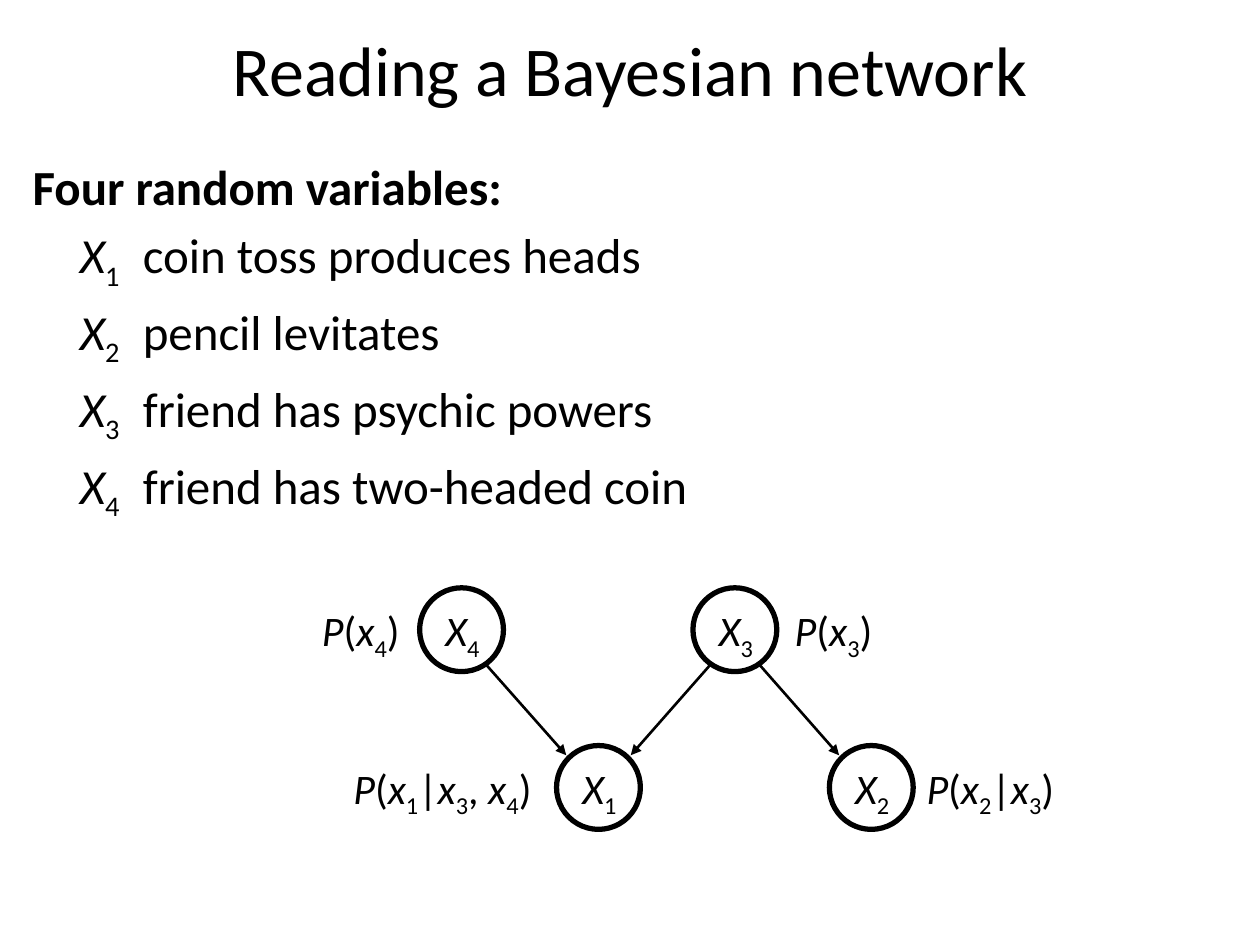
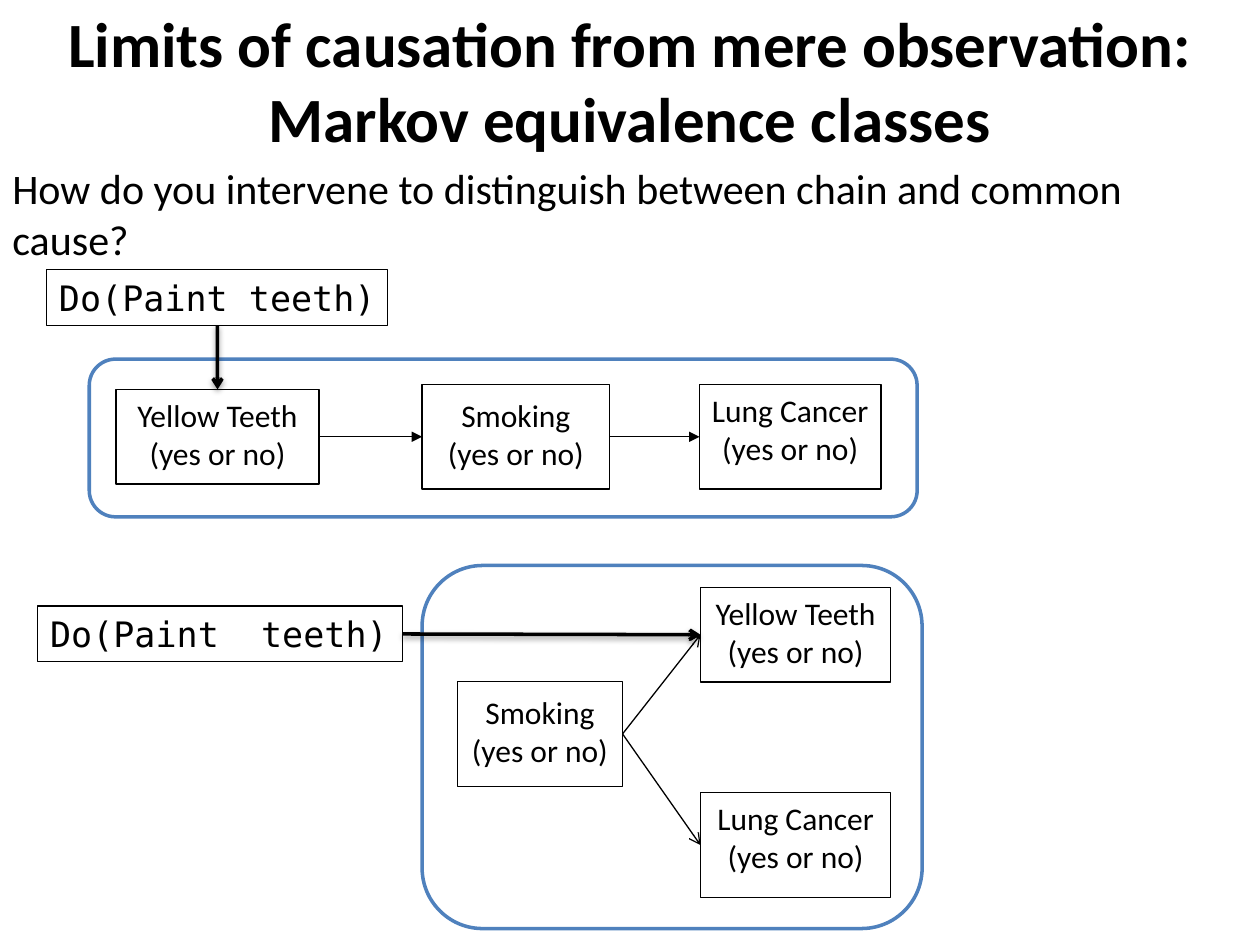
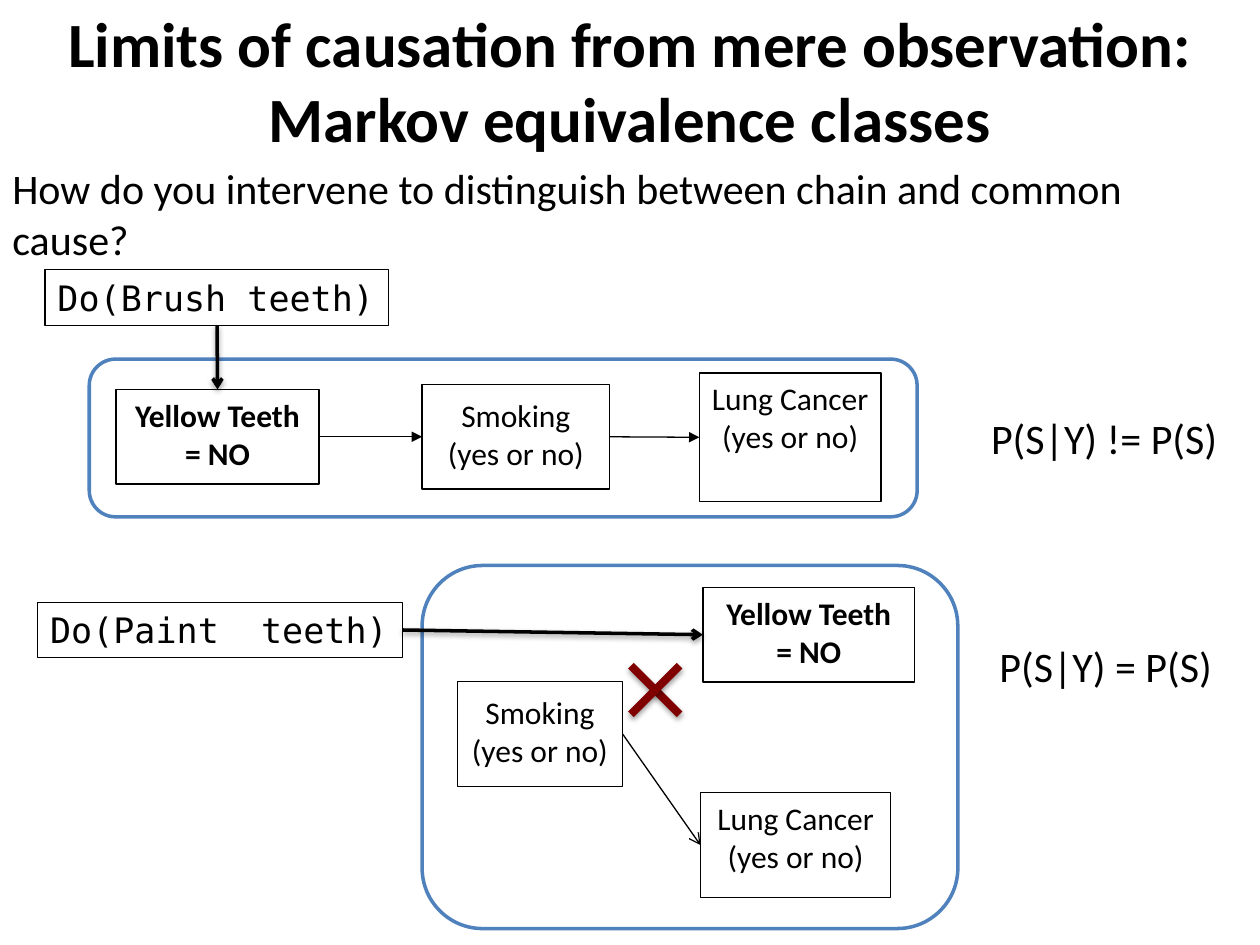
from dataclasses import dataclass

from lxml import etree
from pptx import Presentation
from pptx.dml.color import RGBColor
from pptx.enum.shapes import MSO_CONNECTOR, MSO_SHAPE
from pptx.enum.text import MSO_ANCHOR, PP_ALIGN
from pptx.oxml.ns import qn
from pptx.util import Cm, Pt

STRAIGHT = MSO_CONNECTOR.STRAIGHT
RECTANGLE = MSO_SHAPE.RECTANGLE
ROUNDED = MSO_SHAPE.ROUNDED_RECTANGLE
OVAL = MSO_SHAPE.OVAL
LEFT_ALIGNED = PP_ALIGN.LEFT
CENTERED = PP_ALIGN.CENTER
TOP_ANCHOR = MSO_ANCHOR.TOP
MIDDLE_ANCHOR = MSO_ANCHOR.MIDDLE
TOP, LEFT, BOTTOM, RIGHT = range(4)

BLACK = "000000"
WHITE = "FFFFFF"
FRAME_BLUE = "4F81BD"
CROSS_RED = "800000"
BODY_FONT = "Calibri"
CODE_FONT = "DejaVu Sans Mono"
SLIDE_WIDTH = 25.4
SLIDE_HEIGHT = 19.05

NODE_SIZE = 1.69
LABEL_DROP = 0.21
ARROW_START = (0.42, 0.62)
ARROW_END = 0.65
CROSS_CENTER = (13.21, 13.91)
CROSS_REACH = 0.49
YES_OR_NO = "(yes or no)"


@dataclass(frozen=True)
class Area:
    left: float
    top: float
    width: float
    height: float

    def lengths(self):
        return Cm(self.left), Cm(self.top), Cm(self.width), Cm(self.height)


@dataclass(frozen=True)
class TextPiece:
    text: str
    italic: bool = False
    subscript: bool = False


@dataclass(frozen=True)
class Variable:
    name: str
    meaning: str
    left: float
    top: float
    probability: str
    label_left: float
    label_width: float


@dataclass(frozen=True)
class Box:
    name: str
    lines: tuple
    area: Area
    bold: bool = False
    top_inset: float = 0.13
    font: str = BODY_FONT
    size: float = 18
    align: int = CENTERED
    fill: str | None = WHITE
    wrap: bool = True


@dataclass(frozen=True)
class Link:
    source: str
    source_side: int
    target: str
    target_side: int
    head: str
    weight: float = 0.75
    shadow: bool = False


@dataclass(frozen=True)
class Scenario:
    boxes: tuple
    links: tuple
    common_frame_width: float


VARIABLES = (
    Variable("X_1", "coin toss produces heads", 11.22, 15.03, "P(x_1|x_3, x_4)", 6.76, 4.32),
    Variable("X_2", "pencil levitates", 16.72, 15.03, "P(x_2|x_3)", 18.34, 3.25),
    Variable("X_3", "friend has psychic powers", 13.97, 11.85, "P(x_3)", 15.7, 2.21),
    Variable("X_4", "friend has two-headed coin", 8.46, 11.85, "P(x_4)", 6.17, 2.21),
)
DEPENDENCIES = (("X_4", "X_1"), ("X_3", "X_2"), ("X_3", "X_1"))


def action(name: str, text: str, area: Area) -> Box:
    return Box(name, (text,), area, font=CODE_FONT, size=20,
               align=LEFT_ALIGNED, fill=None, wrap=False)


def smoking(name: str, area: Area) -> Box:
    return Box(name, ("Smoking", YES_OR_NO), area, top_inset=0.23)


COMMON_BOXES = (
    smoking("chain smoking", Area(8.51, 7.75, 3.78, 2.11)),
    smoking("common smoking", Area(9.22, 13.74, 3.33, 2.11)),
    Box("common cancer", ("Lung Cancer", YES_OR_NO), Area(14.12, 15.98, 3.84, 2.11)),
)
COMMON_LINKS = (
    Link("chain teeth", RIGHT, "chain smoking", LEFT, "triangle"),
    Link("chain smoking", RIGHT, "chain cancer", LEFT, "triangle"),
    Link("common smoking", RIGHT, "common cancer", LEFT, "arrow"),
    Link("chain action", BOTTOM, "chain teeth", TOP, "arrow", 2, True),
    Link("common action", RIGHT, "common teeth", LEFT, "arrow", 2, True),
)


def scenario(teeth_state: str, known: bool, first_action: Box, second_action_top: float,
             cancer_area: Area, teeth_area: Area, frame_width: float,
             extra_links: tuple = ()) -> Scenario:
    teeth_lines = ("Yellow Teeth", teeth_state)
    boxes = COMMON_BOXES + (
        first_action,
        action("common action", "Do(Paint  teeth)", Area(0.76, second_action_top, 7.36, 1.12)),
        Box("chain teeth", teeth_lines, Area(2.34, 7.85, 4.09, 1.91), known),
        Box("chain cancer", ("Lung Cancer", YES_OR_NO), cancer_area),
        Box("common teeth", teeth_lines, teeth_area, known),
    )
    return Scenario(boxes, COMMON_LINKS + extra_links, frame_width)


OBSERVED = scenario(
    YES_OR_NO, False,
    action("chain action", "Do(Paint teeth)", Area(0.94, 5.44, 6.88, 1.12)), 12.22,
    Area(14.1, 7.75, 3.66, 2.11), Area(14.12, 11.84, 3.84, 1.91), 10.08,
    (Link("common smoking", RIGHT, "common teeth", LEFT, "arrow"),),
)
INTERVENED = scenario(
    "= NO", True,
    action("chain action", "Do(Brush teeth)", Area(0.91, 5.44, 6.93, 1.12)), 12.14,
    Area(14.1, 7.52, 3.66, 2.59), Area(14.17, 11.84, 4.27, 1.91), 10.8,
)
CONCLUSIONS = (
    ("P(S|Y) = P(S)", Area(19.61, 12.78, 5.36, 1.27)),
    ("P(S|Y) != P(S)", Area(19.58, 8.18, 5.36, 1.27)),
)


def rgb(color: str) -> RGBColor:
    return RGBColor.from_string(color)


def formula(text: str) -> list[TextPiece]:
    pieces = []
    subscript = False
    for character in text:
        if character == "_":
            subscript = True
            continue
        italic = character.isalpha()
        last = pieces[-1] if pieces else None
        if last and (last.italic, last.subscript) == (italic, subscript):
            pieces[-1] = TextPiece(last.text + character, italic, subscript)
        else:
            pieces.append(TextPiece(character, italic, subscript))
        subscript = False
    return pieces


def write_text(shape, lines, *, size: float, font: str = BODY_FONT, bold: bool = False,
               align=CENTERED, anchor=TOP_ANCHOR, wrap: bool = True,
               top_inset: float = 0.13) -> None:
    frame = shape.text_frame
    frame.word_wrap = wrap
    frame.vertical_anchor = anchor
    frame.margin_top = Cm(top_inset)
    for index, line in enumerate(lines):
        paragraph = frame.paragraphs[0] if index == 0 else frame.add_paragraph()
        paragraph.alignment = align
        for piece in [TextPiece(line)] if isinstance(line, str) else line:
            run = paragraph.add_run()
            run.text = piece.text
            run.font.name = font
            run.font.size = Pt(size)
            run.font.bold = bold
            run.font.italic = piece.italic
            run.font.color.rgb = rgb(BLACK)
            if piece.subscript:
                run.font._element.set("baseline", "-25000")


def add_text(slide, area: Area, lines, **text_format):
    shape = slide.shapes.add_textbox(*area.lengths())
    write_text(shape, lines, **text_format)
    return shape


def add_outline(slide, kind, area: Area, fill: str | None, line: str, weight: float):
    shape = slide.shapes.add_shape(kind, *area.lengths())
    shape.shadow.inherit = False
    if fill:
        shape.fill.solid()
        shape.fill.fore_color.rgb = rgb(fill)
    else:
        shape.fill.background()
    shape.line.color.rgb = rgb(line)
    shape.line.width = Pt(weight)
    return shape


def add_line(slide, start=(0, 0), end=(0, 0), *, color: str = BLACK, weight: float = 0.75,
             head: str = "", shadow: bool = False):
    connector = slide.shapes.add_connector(STRAIGHT, *(Cm(value) for value in (*start, *end)))
    connector.line.color.rgb = rgb(color)
    connector.line.width = Pt(weight)
    properties = connector._element.spPr
    if head:
        etree.SubElement(properties.find(qn("a:ln")), qn("a:tailEnd"), type=head)
    effects = etree.SubElement(properties, qn("a:effectLst"))
    if shadow:
        outer = etree.SubElement(effects, qn("a:outerShdw"), blurRad="40000", dist="20000",
                                 dir="5400000", rotWithShape="0")
        shade = etree.SubElement(outer, qn("a:srgbClr"), val=BLACK)
        etree.SubElement(shade, qn("a:alpha"), val="38000")
    return connector


def add_blank_slide(presentation):
    return presentation.slides.add_slide(presentation.slide_layouts[6])


def add_title(slide, area: Area, lines, size: float, bold: bool = False) -> None:
    add_text(slide, area, lines, size=size, bold=bold, anchor=MIDDLE_ANCHOR)


def add_variable_list(slide) -> None:
    lines = [formula(f"\t{variable.name}") + [TextPiece(f"\t{variable.meaning}")]
             for variable in VARIABLES]
    shape = add_text(slide, Area(0.41, 3.02, 16.59, 9.14), ["Four random variables:", *lines],
                     size=28, align=LEFT_ALIGNED)
    heading, *entries = shape.text_frame.paragraphs
    heading.runs[0].font.bold = True
    for paragraph in entries:
        properties = paragraph._element.get_or_add_pPr()
        properties.set("marL", str(Cm(0.95)))
        properties.set("indent", str(-Cm(0.95)))
        tabs = etree.SubElement(properties, qn("a:tabLst"))
        etree.SubElement(tabs, qn("a:tab"), pos=str(Cm(2.22)), algn="l")
        paragraph.space_before = Pt(5.6)


def add_dependency(slide, parent: Variable, child: Variable) -> None:
    radius = NODE_SIZE / 2
    direction = 1 if child.left > parent.left else -1
    start = (parent.left + radius + direction * ARROW_START[0],
             parent.top + radius + ARROW_START[1])
    end = (child.left + radius - direction * ARROW_END, child.top + radius - ARROW_END)
    add_line(slide, start, end, weight=1.5, head="triangle")


def add_variable(slide, variable: Variable) -> None:
    add_outline(slide, OVAL, Area(variable.left, variable.top, NODE_SIZE, NODE_SIZE),
                WHITE, BLACK, 3)
    label_top = variable.top + LABEL_DROP
    labels = ((variable.name, variable.left + LABEL_DROP, 1.31),
              (variable.probability, variable.label_left, variable.label_width))
    for text, left, width in labels:
        add_text(slide, Area(left, label_top, width, 1.3), [formula(text)], size=24, wrap=False)


def build_network(presentation) -> None:
    slide = add_blank_slide(presentation)
    variables = {variable.name: variable for variable in VARIABLES}
    for parent, child in DEPENDENCIES:
        add_dependency(slide, variables[parent], variables[child])
    add_title(slide, Area(0, 0.33, SLIDE_WIDTH, 2.08), ["Reading a Bayesian network"], 40)
    add_variable_list(slide)
    for variable in VARIABLES:
        add_variable(slide, variable)


def add_box(slide, box: Box):
    shape = add_outline(slide, RECTANGLE, box.area, box.fill, BLACK, 0.75)
    write_text(shape, box.lines, size=box.size, font=box.font, bold=box.bold, align=box.align,
               wrap=box.wrap, top_inset=box.top_inset)
    return shape


def build_equivalence(presentation, content: Scenario):
    slide = add_blank_slide(presentation)
    add_title(slide, Area(0, 0.05, SLIDE_WIDTH, 3.12),
              ["Limits of causation from mere observation:", "Markov equivalence classes"],
              36, bold=True)
    add_text(slide, Area(0, 3.15, SLIDE_WIDTH, 3.33),
             ["How do you intervene to distinguish between chain and common cause?"],
             size=24, align=LEFT_ALIGNED)
    shapes = {box.name: add_box(slide, box) for box in content.boxes}
    for frame in (Area(1.8, 7.24, 16.69, 3.18),
                  Area(8.51, 11.4, content.common_frame_width, 7.32)):
        add_outline(slide, ROUNDED, frame, None, FRAME_BLUE, 2)
    for link in content.links:
        connector = add_line(slide, weight=link.weight, head=link.head, shadow=link.shadow)
        connector.begin_connect(shapes[link.source], link.source_side)
        connector.end_connect(shapes[link.target], link.target_side)
    return slide


def add_conclusions(slide) -> None:
    center_x, center_y = CROSS_CENTER
    for slope in (1, -1):
        rise = slope * CROSS_REACH
        add_line(slide, (center_x - CROSS_REACH, center_y - rise),
                 (center_x + CROSS_REACH, center_y + rise),
                 color=CROSS_RED, weight=4.5, shadow=True)
    for text, area in CONCLUSIONS:
        add_text(slide, area, [text], size=24)


def main() -> None:
    presentation = Presentation()
    presentation.slide_width = Cm(SLIDE_WIDTH)
    presentation.slide_height = Cm(SLIDE_HEIGHT)
    build_network(presentation)
    build_equivalence(presentation, OBSERVED)
    add_conclusions(build_equivalence(presentation, INTERVENED))
    presentation.save("out.pptx")


if __name__ == "__main__":
    main()
